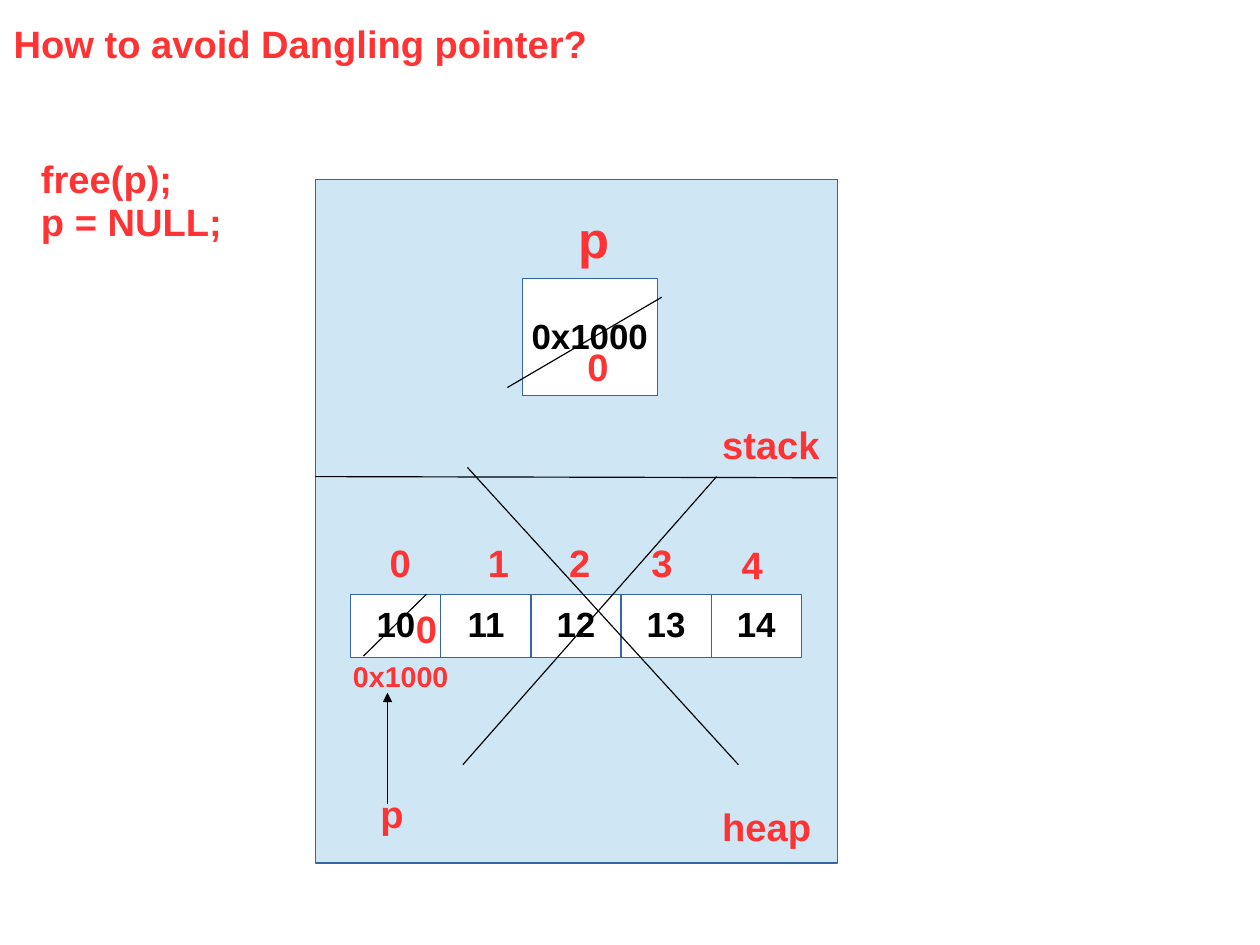
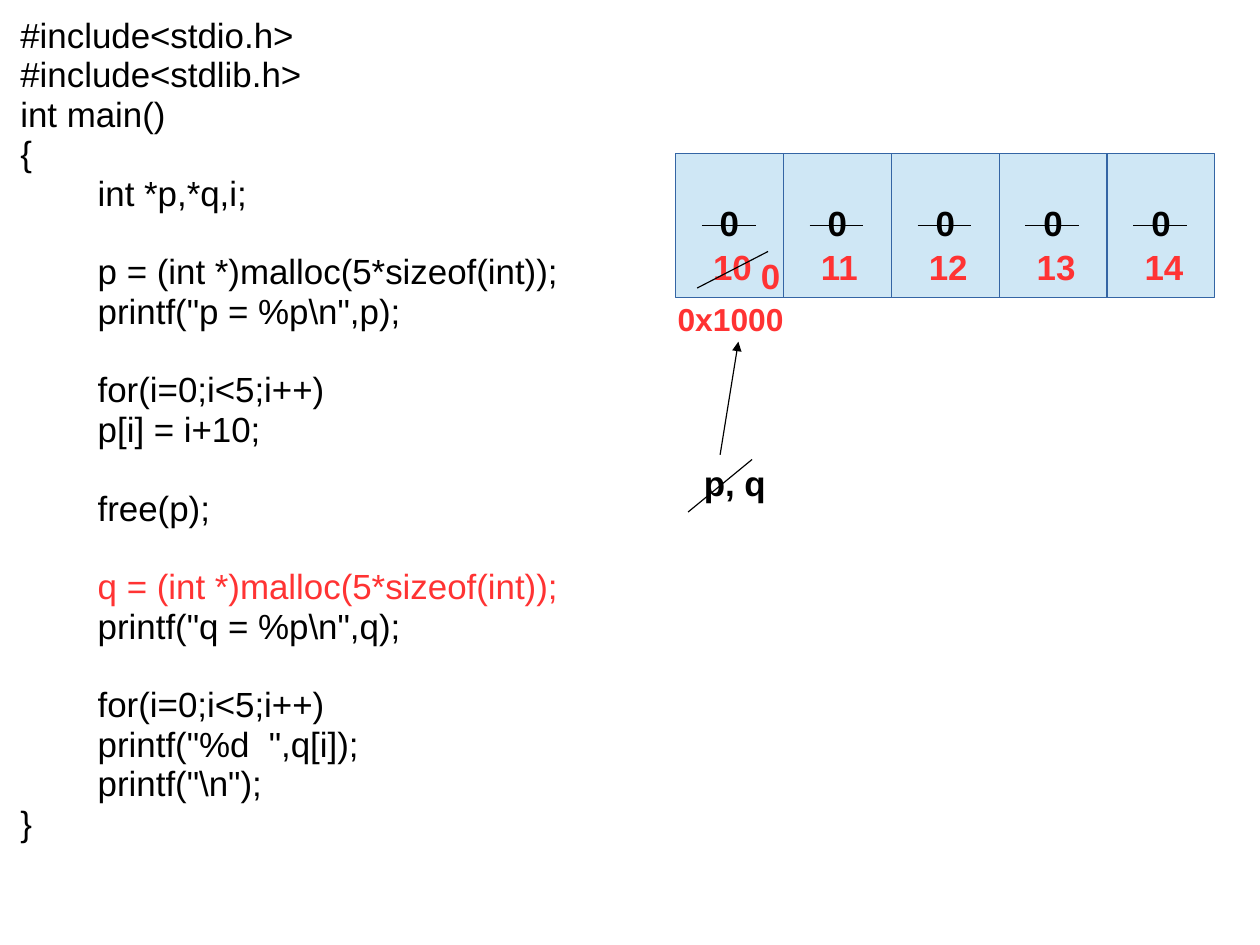
from dataclasses import dataclass

from lxml import etree
from pptx import Presentation
from pptx.dml.color import RGBColor
from pptx.enum.shapes import MSO_CONNECTOR, MSO_SHAPE
from pptx.enum.text import MSO_ANCHOR, MSO_AUTO_SIZE, PP_ALIGN
from pptx.oxml.ns import qn
from pptx.util import Inches, Pt

RECTANGLE = MSO_SHAPE.RECTANGLE
STRAIGHT = MSO_CONNECTOR.STRAIGHT
TOP, MIDDLE = MSO_ANCHOR.TOP, MSO_ANCHOR.MIDDLE
LEFT, CENTER = PP_ALIGN.LEFT, PP_ALIGN.CENTER
TITLE_ONLY, BLANK = 5, 6
CM_PER_INCH = 2.54


@dataclass(frozen=True)
class Theme:
    font: str = "Arial"
    red: RGBColor = RGBColor(0xFF, 0x33, 0x33)
    black: RGBColor = RGBColor(0, 0, 0)
    white: RGBColor = RGBColor(0xFF, 0xFF, 0xFF)
    pale_blue: RGBColor = RGBColor(0xCF, 0xE7, 0xF5)
    border_blue: RGBColor = RGBColor(0x34, 0x65, 0xA4)
    line_width: float = 0.75
    line_spacing: float = 0.94
    code_gap: float = 24.8
    large: int = 32
    heading: int = 24
    body: int = 22
    address: int = 20
    small: int = 18


THEME = Theme()

CODE_BLOCKS = [
    ["#include<stdio.h>", "#include<stdlib.h>", "int main()", "{", "        int *p,*q,i;"],
    ["        p = (int *)malloc(5*sizeof(int));", '        printf("p = %p\\n",p);'],
    ["        for(i=0;i<5;i++)", "        p[i] = i+10;"],
    ["        free(p);"],
    ["        q = (int *)malloc(5*sizeof(int));", '        printf("q = %p\\n",q);'],
    ["        for(i=0;i<5;i++)", '        printf("%d  ",q[i]);', '        printf("\\n");', "}"],
]
SECOND_ALLOCATION = CODE_BLOCKS[4][0]


class Deck:
    def __init__(self, width, height):
        self.presentation = Presentation()
        self.presentation.slide_width = Inches(width)
        self.presentation.slide_height = Inches(height)
        self.slide = None

    def new_slide(self, layout):
        layouts = self.presentation.slide_layouts
        self.slide = self.presentation.slides.add_slide(layouts[layout])

    def prepare_frame(self, shape, anchor=TOP, wrap=False):
        frame = shape.text_frame
        frame.margin_left = frame.margin_right = Inches(0.1)
        frame.margin_top = frame.margin_bottom = Inches(0.05)
        frame.auto_size = MSO_AUTO_SIZE.NONE
        frame.word_wrap = wrap
        frame.vertical_anchor = anchor
        return frame

    def write_line(self, paragraph, text, size, color, bold=True, align=LEFT):
        paragraph.alignment = align
        paragraph.line_spacing = THEME.line_spacing
        run = paragraph.add_run()
        run.text = text
        run.font.name = THEME.font
        run.font.size = Pt(size)
        run.font.bold = bold
        run.font.color.rgb = color

    def title(self, text, left, top, width, height):
        shape = self.slide.shapes.title
        shape.left, shape.top = Inches(left), Inches(top)
        shape.width, shape.height = Inches(width), Inches(height)
        frame = self.prepare_frame(shape)
        self.write_line(frame.paragraphs[0], text, THEME.heading, THEME.red)

    def text_box(self, left, top, width, height, wrap=False):
        """Add an empty text box and return its frame."""
        box = self.slide.shapes.add_textbox(
            Inches(left), Inches(top), Inches(width), Inches(height))
        return self.prepare_frame(box, wrap=wrap)

    def label(self, text, left, top, width, height=0.5, size=THEME.heading, color=THEME.red):
        frame = self.text_box(left, top, width, height)
        for number, line in enumerate(text.split("\n")):
            paragraph = frame.add_paragraph() if number else frame.paragraphs[0]
            self.write_line(paragraph, line, size, color)

    def code(self, blocks, highlighted, left, top, width, height):
        """Write code blocks with a one-line gap between them."""
        frame = self.text_box(left, top, width, height, wrap=True)
        paragraph = frame.paragraphs[0]
        for block_number, block in enumerate(blocks):
            for line_number, line in enumerate(block):
                if block_number or line_number:
                    paragraph = frame.add_paragraph()
                if block_number and not line_number:
                    paragraph.space_before = Pt(THEME.code_gap)
                color = THEME.red if line == highlighted else THEME.black
                self.write_line(paragraph, line, THEME.body, color, bold=False)

    def box(self, left, top, width, height, fill, text=""):
        shape = self.slide.shapes.add_shape(
            RECTANGLE, Inches(left), Inches(top), Inches(width), Inches(height))
        shape.shadow.inherit = False
        shape.fill.solid()
        shape.fill.fore_color.rgb = fill
        shape.line.color.rgb = THEME.border_blue
        shape.line.width = Pt(THEME.line_width)
        if text:
            frame = self.prepare_frame(shape, MIDDLE)
            self.write_line(frame.paragraphs[0], text, THEME.body, THEME.black, align=CENTER)

    def cell_row(self, values, left, top, width, height, fill):
        """Draw equal cells side by side and return their left edges."""
        pitch = width / len(values)
        edges = [left + pitch * index for index in range(len(values))]
        for edge, value in zip(edges, values):
            self.box(edge, top, pitch, height, fill, value)
        return edges

    def line(self, x1, y1, x2, y2, arrow=False):
        connector = self.slide.shapes.add_connector(
            STRAIGHT, Inches(x1), Inches(y1), Inches(x2), Inches(y2))
        connector.line.color.rgb = THEME.black
        connector.line.width = Pt(THEME.line_width)
        properties = connector._element.spPr
        if arrow:
            etree.SubElement(properties.find(qn("a:ln")), qn("a:tailEnd"), type="triangle")
        etree.SubElement(properties, qn("a:effectLst"))


def build_memory_slide(deck):
    deck.new_slide(TITLE_ONLY)
    deck.title("How to avoid Dangling pointer?", 0.02, 0.16, 5.22, 0.5)
    deck.label("free(p);\np = NULL;", 0.26, 1.34, 1.78, 0.87)

    deck.box(2.76, 1.57, 4.57, 5.98, THEME.pale_blue)
    deck.line(2.76, 4.17, 7.32, 4.18)
    deck.label("stack", 6.22, 3.67, 1.05)
    deck.label("heap", 6.22, 7.01, 0.97)

    deck.box(4.57, 2.44, 1.18, 1.02, THEME.white, "0x1000")
    deck.label("p", 4.96, 1.81, 0.47, 0.63, THEME.large)
    deck.line(5.79, 2.6, 4.44, 3.39)
    deck.label("0", 5.04, 2.99, 0.38)

    values = [str(value) for value in range(10, 15)]
    deck.cell_row(values, 3.07, 5.2, 3.94, 0.55, THEME.white)
    index_places = [(3.31, 4.7), (4.17, 4.7), (4.88, 4.7), (5.6, 4.7), (6.39, 4.72)]
    for index, (left, top) in enumerate(index_places):
        deck.label(str(index), left, top, 0.38)
    deck.label("0x1000", 2.99, 5.74, 1.03, 0.4, THEME.small)
    deck.line(3.39, 7.03, 3.39, 6.06, arrow=True)
    deck.label("p", 3.23, 6.9, 0.4)

    deck.line(4.09, 4.09, 6.46, 6.69)
    deck.line(6.27, 4.17, 4.05, 6.69)
    deck.line(3.73, 5.2, 3.18, 5.74)
    deck.label("0", 3.54, 5.28, 0.38)


def build_code_slide(deck):
    deck.new_slide(BLANK)
    deck.code(CODE_BLOCKS, SECOND_ALLOCATION, 0.08, 0.1, 5.23, 7.7)

    edges = deck.cell_row(["0"] * 5, 5.91, 1.34, 4.72, 1.26, THEME.pale_blue)
    for index, edge in enumerate(edges):
        mark_left = edge + 0.23
        deck.line(mark_left, 1.97, mark_left + 0.47, 1.97)
        deck.label(str(index + 10), mark_left, 2.13, 0.54, 0.47, THEME.body)
    deck.line(6.72, 2.2, 6.1, 2.52)
    deck.label("0", 6.56, 2.21, 0.37, 0.47, THEME.body)

    deck.label("0x1000", 5.83, 2.6, 1.13, 0.43, THEME.address)
    deck.line(6.3, 3.98, 6.46, 2.99, arrow=True)
    deck.label("p, q", 6.06, 4.02, 0.74, 0.46, THEME.body, THEME.black)
    deck.line(6.58, 4.02, 6.02, 4.48)


def main():
    deck = Deck(28 / CM_PER_INCH, 21 / CM_PER_INCH)
    build_memory_slide(deck)
    build_code_slide(deck)
    deck.presentation.save("out.pptx")


if __name__ == "__main__":
    main()
